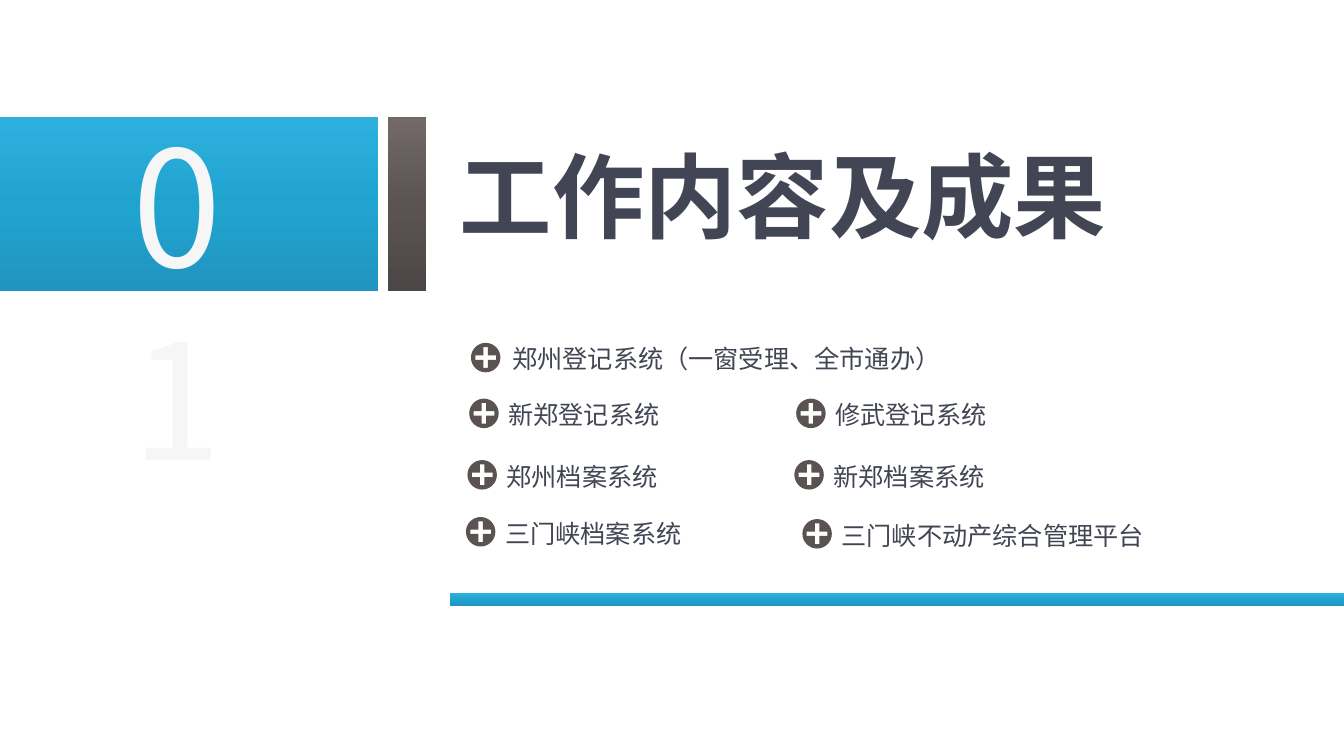
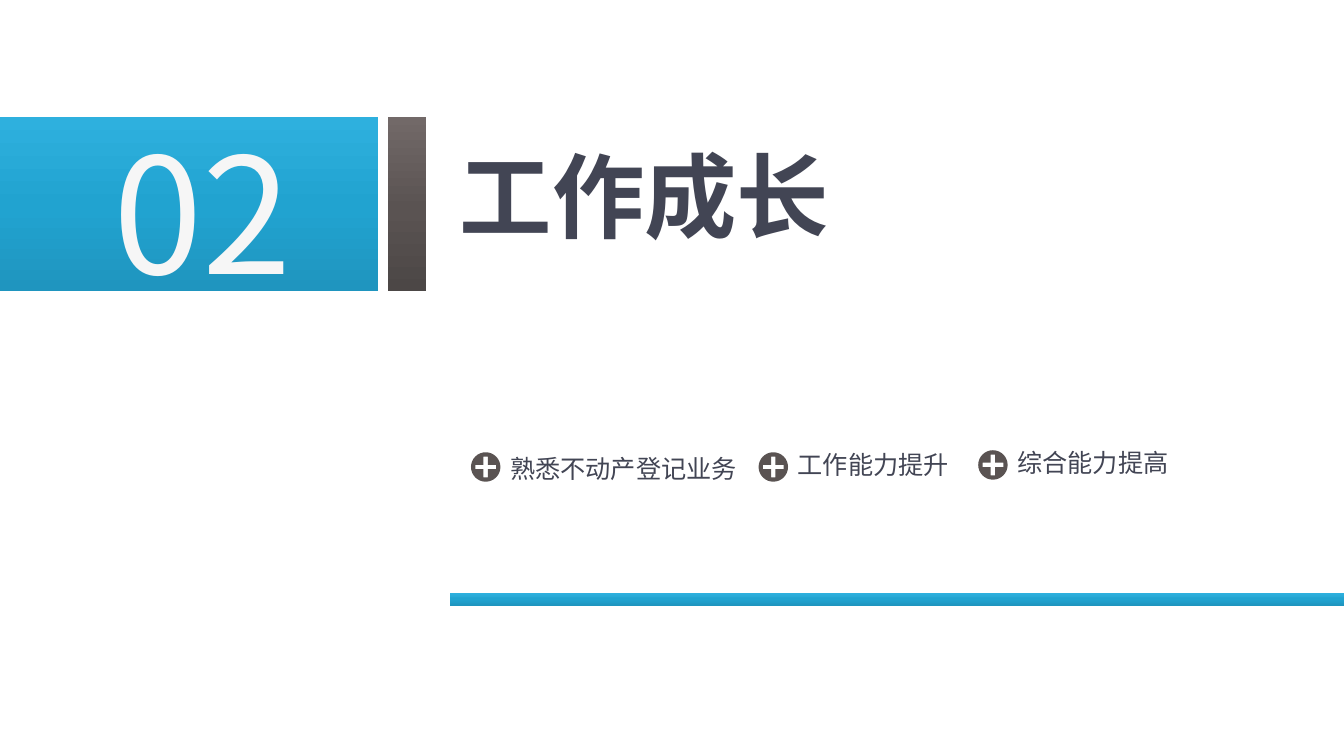
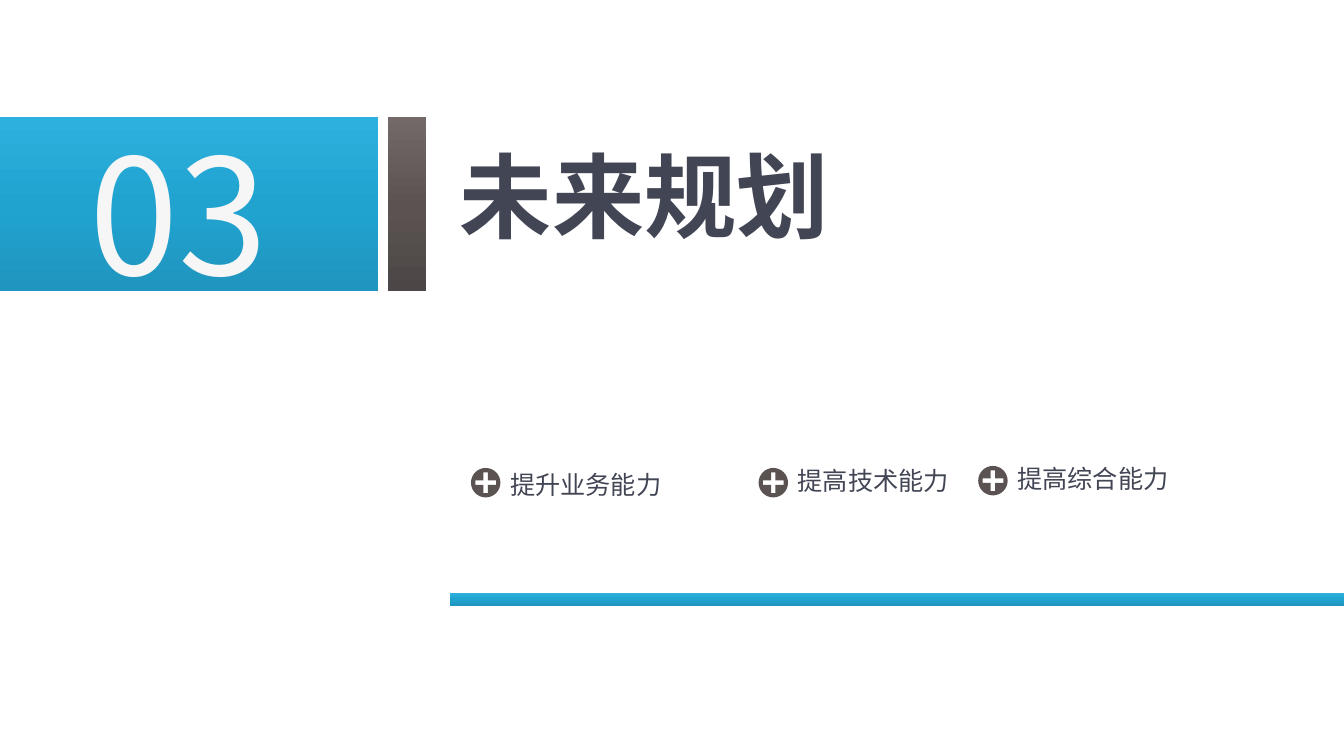
from lxml import etree
from pptx import Presentation
from pptx.dml.color import RGBColor
from pptx.enum.shapes import MSO_SHAPE
from pptx.enum.text import MSO_ANCHOR, MSO_AUTO_SIZE, PP_ALIGN
from pptx.oxml.ns import qn
from pptx.util import Inches, Pt

RECT = MSO_SHAPE.RECTANGLE
TOP, MIDDLE = MSO_ANCHOR.TOP, MSO_ANCHOR.MIDDLE
GROW, FIXED = MSO_AUTO_SIZE.SHAPE_TO_FIT_TEXT, MSO_AUTO_SIZE.NONE
LEFT, CENTER = PP_ALIGN.LEFT, PP_ALIGN.CENTER

FONT = "Noto Sans CJK SC"
WIDTH, HEIGHT = Inches(13.34), Inches(7.5)
COLS, ROWS = 133.4, 75
COLORS = {"ink": "424554", "pale": "F6F6F6", "icon": "5A5352"}
GRADES = {
    "blue": {0: "1F95BF", 48: "21A3D0", 100: "2EB0DE"},
    "brown": {0: "4C4746", 47: "5A5352", 100: "726968"},
}
STYLES = {
    "title": {
        "font": {"size": Pt(66), "bold": True},
        "frame": {"word_wrap": True, "auto_size": FIXED, "vertical_anchor": MIDDLE},
        "align": LEFT, "color": "ink",
    },
    "number": {
        "font": {"size": Pt(115), "bold": False},
        "frame": {"word_wrap": False, "auto_size": GROW, "vertical_anchor": TOP},
        "align": CENTER, "color": "pale",
    },
    "point": {
        "font": {"size": Pt(18), "bold": False},
        "frame": {"word_wrap": True, "auto_size": GROW, "vertical_anchor": TOP},
        "align": LEFT, "color": "ink",
    },
}

BAND_TOP, BAND_HIGH = 11.6, 17.25
BODY = 44.65
ICON = 2.92
HALF = ICON / 2
BEND = 0.55 * HALF
THIN, LONG = 0.22, 1.03
ARC = [(BEND, -HALF), (HALF, -BEND), (HALF, 0)]
ARM = [(-THIN, LONG), (THIN, LONG), (THIN, THIN)]


def across(cols):
    return round(WIDTH * cols / COLS)


def down(rows):
    return round(HEIGHT * rows / ROWS)


def place(x, y, wide, high):
    return across(x), down(y), across(wide), down(high)


def rgb(name):
    return RGBColor.from_string(COLORS[name])


def apply(target, values):
    for name, value in values.items():
        setattr(target, name, value)


def bar(slide, grade, *box):
    shape = slide.shapes.add_shape(RECT, *place(*box))
    shape.shadow.inherit = False
    shape.line.fill.background()
    shape.fill.gradient()
    shape.fill.gradient_angle = 90
    stops = shape._element.spPr.find(qn("a:gradFill")).find(qn("a:gsLst"))
    for stop in list(stops):
        stops.remove(stop)
    for share, color in GRADES[grade].items():
        stop = etree.SubElement(stops, qn("a:gs"), pos=str(share * 1000))
        etree.SubElement(stop, qn("a:srgbClr"), val=color)


def label(slide, kind, text, *box, wrap=None):
    style = STYLES[kind]
    frame = slide.shapes.add_textbox(*place(*box)).text_frame
    apply(frame, style["frame"])
    if wrap is not None:
        frame.word_wrap = wrap
    para = frame.paragraphs[0]
    para.alignment = style["align"]
    run = para.add_run()
    run.text = text
    apply(run.font, style["font"])
    run.font.color.rgb = rgb(style["color"])
    run.font.name = FONT
    etree.SubElement(run._r.get_or_add_rPr(), qn("a:ea"), typeface=FONT)


def spin(spots, step):
    turned = []
    for _ in range(4):
        turned += spots
        spots = [(-y * step, x * step) for x, y in spots]
    return turned


def curve(shape, count):
    lines = list(shape._element.iter(qn("a:lnTo")))[:count]
    for start in range(0, count, 3):
        bend = etree.Element(qn("a:cubicBezTo"))
        lines[start].addprevious(bend)
        for line in lines[start:start + 3]:
            bend.append(line[0])
            line.getparent().remove(line)


def icon(slide, x, y):
    def spots(pairs):
        return [(across(x + HALF + dx), down(y + HALF + dy)) for dx, dy in pairs]

    ring = spots(spin(ARC, 1))
    cross = spots(spin(ARM, -1))
    path = slide.shapes.build_freeform(*ring[-1])
    path.add_line_segments(ring, close=True)
    path.move_to(*cross[0])
    path.add_line_segments(cross[1:], close=True)
    shape = path.convert_to_shape()
    curve(shape, len(ring))
    shape.shadow.inherit = False
    shape.line.fill.background()
    shape.fill.solid()
    shape.fill.fore_color.rgb = rgb("icon")


def point(slide, text, x, y, wide, gap=2.9, rise=0.4):
    icon(slide, x, y)
    label(slide, "point", text, x + gap, y - rise, wide, 4)


def section(deck, title, number, x, y, wide, wrap=False):
    slide = deck.slides.add_slide(deck.slide_layouts[6])
    bar(slide, "blue", 0, BAND_TOP, 37.55, BAND_HIGH)
    bar(slide, "brown", 38.5, BAND_TOP, 3.8, BAND_HIGH)
    label(slide, "title", title, BODY, 14.17, 73.7, 10.3)
    label(slide, "number", number, x, y, wide, 20.4, wrap=wrap)
    bar(slide, "blue", BODY, 58.8, COLS - BODY, 1.3)
    return slide


def trio(slide, y, texts):
    spots = [(46.75, 0, 33.2, 0.4), (75.3, 0, 27.1, 0.8), (97.1, -0.2, 27.1, 0.8)]
    for text, (x, shift, wide, rise) in zip(texts, spots):
        point(slide, text, x, y + shift, wide, rise=rise)


def main():
    deck = Presentation()
    apply(deck, {"slide_width": WIDTH, "slide_height": HEIGHT})

    work = section(deck, "工作内容及成果", "01", 9.1, 10.07, 17, wrap=True)
    point(work, "郑州登记系统（一窗受理、全市通办）", 46.75, 34.02, 48, gap=3.12)
    for text, x, y, wide in [
        ("新郑登记系统", 46.58, 39.55, 23.3),
        ("修武登记系统", 79.03, 39.55, 27.1),
        ("郑州档案系统", 46.4, 45.65, 23.3),
        ("新郑档案系统", 78.85, 45.65, 27.1),
        ("三门峡档案系统", 46.25, 51.3, 27.1),
        ("三门峡不动产综合管理平台", 79.65, 51.5, 41.6),
    ]:
        point(work, text, x, y, wide)

    growth = section(deck, "工作成长", "02", 10.2, 10.8, 19.8)
    trio(growth, 44.87, ["熟悉不动产登记业务", "工作能力提升", "综合能力提高"])

    plan = section(deck, "未来规划", "03", 7.83, 10.9, 19.8)
    trio(plan, 46.43, ["提升业务能力", "提高技术能力", "提高综合能力"])

    deck.save("out.pptx")


if __name__ == "__main__":
    main()
